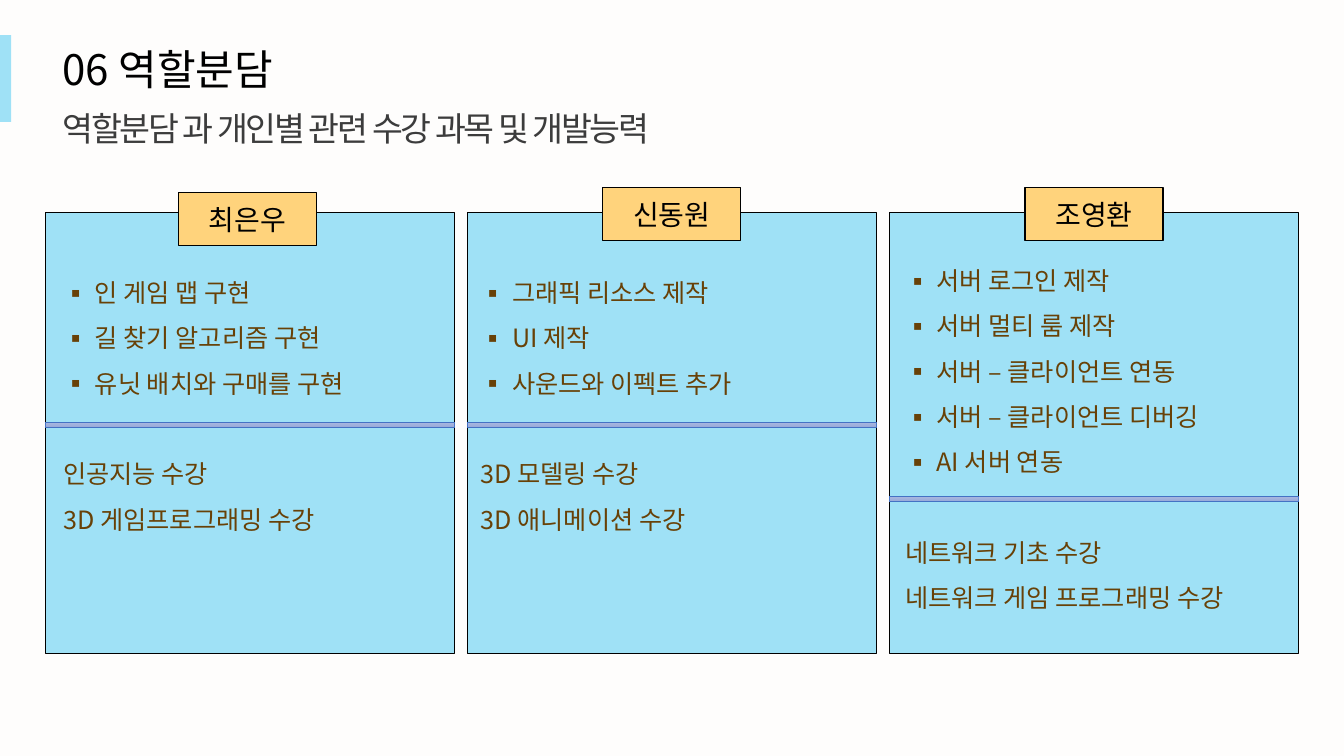
from lxml import etree
from pptx import Presentation
from pptx import util as u
from pptx.dml.color import RGBColor
from pptx.enum import shapes, text
from pptx.oxml.ns import qn

COLORS = {
    "page": "FEFDFC", "sky": "42C7F1", "tag": "FFD37C", "black": "000000",
    "subtitle": "3C3C3C", "body": "684107",
    "bar_top": "A8B7DF", "bar_bottom": "9AABD9", "bar_line": "4472C4",
}
FONT = "Noto Sans CJK KR"
BODY_SIZE = 18
COLUMN_LEFT, COLUMN_STEP, COLUMN_WIDTH = 32.4, 301.4, 292.3
PANEL_TOP, PANEL_HEIGHT = 151.9, 314.6

# Boxes are (left, top, width, height) in points.
MEMBERS = [
    {"name": "최은우", "tag": (127.4, 137.5, 98.6, 37.6),
     "box": (38.2, 183.6, 281.5, 199.4), "bar_top": 301.5,
     "tasks": ["인 게임 맵 구현", "길 찾기 알고리즘 구현", "유닛 배치와 구매를 구현"],
     "courses": ["인공지능 수강", "3D 게임프로그래밍 수강"]},
    {"name": "신동원", "tag": (430.6, 133.9, 98.6, 38.2),
     "box": (336.2, 183.6, 284.4, 199.4), "bar_top": 301.5,
     "tasks": ["그래픽 리소스 제작", "UI 제작", "사운드와 이펙트 추가"],
     "courses": ["3D 모델링 수강", "3D 애니메이션 수강"]},
    {"name": "조영환", "tag": (732.2, 133.9, 98.6, 38.2),
     "box": (639.4, 175, 284.4, 265), "bar_top": 354.7,
     "tasks": ["서버 로그인 제작", "서버 멀티 룸 제작", "서버 – 클라이언트 연동",
               "서버 – 클라이언트 디버깅", "AI 서버 연동"],
     "courses": ["네트워크 기초 수강", "네트워크 게임 프로그래밍 수강"]},
]


def rgb(name):
    return RGBColor.from_string(COLORS[name])


class SlideBuilder:
    def __init__(self, deck):
        self.page = deck.slides.add_slide(deck.slide_layouts[5])
        self.page.background.fill.solid()
        self.page.background.fill.fore_color.rgb = rgb("page")

    def style(self, para, size, color, spacing=None):
        for span in para.runs:
            span.font.size = u.Pt(size)
            span.font.name = FONT
            span.font.color.rgb = rgb(color)
            props = span.font._element
            etree.SubElement(props, qn("a:ea")).set("typeface", FONT)
            if spacing is not None:
                props.set("spc", str(round(spacing * 100)))

    def bullet(self, para):
        props = para._p.get_or_add_pPr()
        props.set("marL", str(u.Pt(22.5)))
        props.set("indent", str(-u.Pt(22.5)))
        etree.SubElement(props, qn("a:buFont")).set("typeface", FONT)
        etree.SubElement(props, qn("a:buChar")).set("char", "▪")

    def line_of_text(self, shape, content, size, color, spacing=None):
        """Fill a left-aligned, unwrapped box with a single line."""
        frame = shape.text_frame
        frame.text = content
        frame.word_wrap = False
        frame.auto_size = text.MSO_AUTO_SIZE.SHAPE_TO_FIT_TEXT
        frame.vertical_anchor = text.MSO_ANCHOR.TOP
        para = frame.paragraphs[0]
        para.alignment = text.PP_ALIGN.LEFT
        self.style(para, size, color, spacing)

    def title(self, content, left, top, width, height):
        title = self.page.shapes.title
        title.left, title.top = u.Pt(left), u.Pt(top)
        title.width, title.height = u.Pt(width), u.Pt(height)
        self.line_of_text(title, content, 30, "black")

    def text_box(self, left, top, width, height):
        return self.page.shapes.add_textbox(
            u.Pt(left), u.Pt(top), u.Pt(width), u.Pt(height))

    def subtitle(self, content, *place):
        self.line_of_text(self.text_box(*place), content, 24, "subtitle", -1.5)

    def rectangle(self, left, top, width, height, fill=None, alpha=None,
                  line=None, line_width=0.75):
        shape = self.page.shapes.add_shape(
            shapes.MSO_SHAPE.RECTANGLE,
            u.Pt(left), u.Pt(top), u.Pt(width), u.Pt(height))
        shape.shadow.inherit = False
        if fill:
            shape.fill.solid()
            shape.fill.fore_color.rgb = rgb(fill)
        if alpha:
            color = shape.fill._xPr.find(qn("a:solidFill"))[0]
            etree.SubElement(color, qn("a:alpha")).set("val", str(alpha * 1000))
        if line:
            shape.line.color.rgb = rgb(line)
            shape.line.width = u.Pt(line_width)
        else:
            shape.line.fill.background()
        return shape

    def divider(self, *place):
        bar = self.rectangle(*place, line="bar_line", line_width=0.5)
        bar.fill.gradient()
        bar.fill.gradient_angle = 270
        for stop, color, position in zip(
                bar.fill.gradient_stops, ("bar_top", "bar_bottom"), (0, 1)):
            stop.color.rgb = rgb(color)
            stop.position = position

    def name_tag(self, name, *place):
        frame = self.rectangle(*place, fill="tag", line="black").text_frame
        frame.text = name
        frame.vertical_anchor = text.MSO_ANCHOR.MIDDLE
        para = frame.paragraphs[0]
        para.alignment = text.PP_ALIGN.CENTER
        self.style(para, 20, "black")

    def duties(self, tasks, courses, *place):
        """Bulleted tasks, a gap of one line, then plain courses."""
        frame = self.text_box(*place).text_frame
        frame.word_wrap = True
        frame.auto_size = text.MSO_AUTO_SIZE.SHAPE_TO_FIT_TEXT
        frame.text = "\n".join(tasks + courses)
        for index, para in enumerate(frame.paragraphs):
            if index < len(tasks):
                self.bullet(para)
            para.line_spacing = 1.5
            if index == len(tasks):
                para.space_before = u.Pt(32.5)
            self.style(para, BODY_SIZE, "body")

    def member(self, left, member):
        self.rectangle(left, PANEL_TOP, COLUMN_WIDTH, PANEL_HEIGHT,
                       fill="sky", alpha=50, line="black")
        self.duties(member["tasks"], member["courses"], *member["box"])
        self.name_tag(member["name"], *member["tag"])
        self.divider(left, member["bar_top"], COLUMN_WIDTH, 3.6)


def main():
    deck = Presentation()
    deck.slide_width, deck.slide_height = u.Pt(960), u.Pt(540)
    slide = SlideBuilder(deck)
    slide.title("06 역할분담", 37.4, 27.4, 183.6, 43.9)
    slide.subtitle("역할분담 과 개인별 관련 수강 과목 및 개발능력", 37.4, 73.4, 495.4, 36)
    slide.rectangle(0, 25.2, 7.9, 61.9, fill="sky", alpha=50)
    for index, member in enumerate(MEMBERS):
        slide.member(COLUMN_LEFT + index * COLUMN_STEP, member)
    deck.save("out.pptx")


if __name__ == "__main__":
    main()
